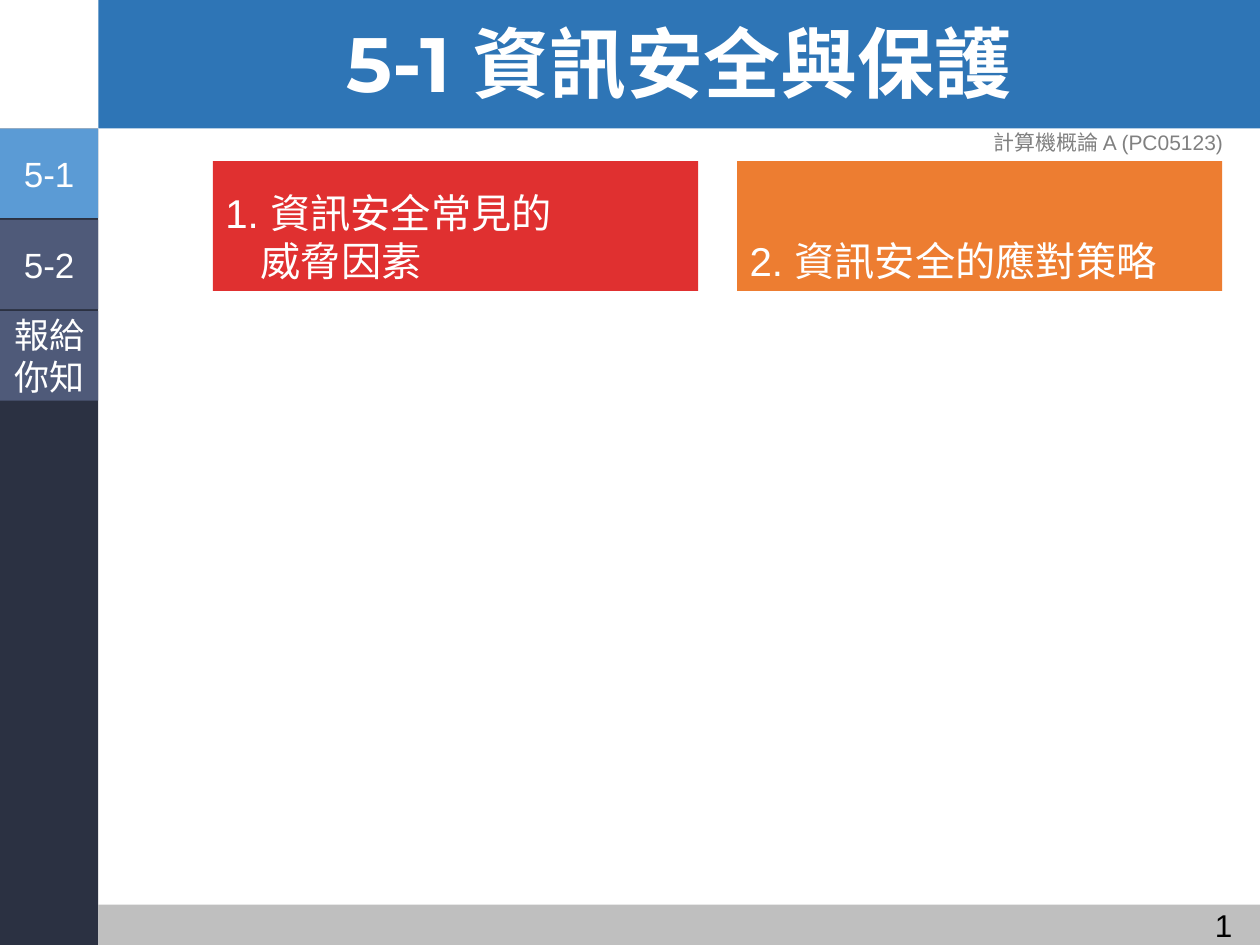
from dataclasses import dataclass

from lxml.etree import SubElement
from pptx import Presentation
from pptx.dml.color import RGBColor
from pptx.enum.shapes import MSO_SHAPE as Preset
from pptx.enum.text import MSO_ANCHOR as Anchor, MSO_AUTO_SIZE as AutoSize, PP_ALIGN as Align
from pptx.oxml.ns import qn
from pptx.util import Inches, Pt


@dataclass(frozen=True)
class Theme:
    header: str = "2E75B6"
    footer: str = "BFBFBF"
    sidebar: str = "2B3142"
    tab: str = "4F5A79"
    active_tab: str = "5B9BD5"
    red: str = "E03030"
    orange: str = "ED7D31"
    white: str = "FFFFFF"
    black: str = "000000"
    grey: str = "808080"
    title_font: str = "Montserrat"
    body_font: str = "Arial"
    title_size: int = 44
    topic_size: int = 23
    tab_size: int = 20
    number_size: int = 18
    course_size: int = 12


@dataclass(frozen=True)
class Area:
    left: float
    top: float
    width: float
    height: float

    def lengths(self) -> tuple:
        return tuple(Inches(n) for n in (self.left, self.top, self.width, self.height))


@dataclass(frozen=True)
class Label:
    text: str
    fill: str


THEME = Theme()
SIDEBAR_WIDTH, HEADER_HEIGHT = 0.78, 1.02
MAIN_WIDTH = 10 - SIDEBAR_WIDTH
BANDS = [
    (Area(SIDEBAR_WIDTH, 0, MAIN_WIDTH, HEADER_HEIGHT), THEME.header),
    (Area(SIDEBAR_WIDTH, 7.18, MAIN_WIDTH, 0.32), THEME.footer),
    (Area(0, HEADER_HEIGHT, SIDEBAR_WIDTH, 6.48), THEME.sidebar),
]
TABS = [
    Label("5-1", THEME.active_tab),
    Label("5-2", THEME.tab),
    Label("報給\n你知", THEME.tab),
]
TOPICS = [
    Label("1. 資訊安全常見的\v威脅因素", THEME.red),
    Label("2. 資訊安全的應對策略", THEME.orange),
]
TAB_HEIGHT, TAB_STEP = 0.71, 0.725
TOPIC_LEFT, TOPIC_STEP = 1.69, 4.16
TOPIC_INDENT = 0.28


def add_block(slide, area: Area, fill: str):
    block = slide.shapes.add_shape(Preset.RECTANGLE, *area.lengths())
    block.shadow.inherit = False
    block.fill.solid()
    block.fill.fore_color.rgb = RGBColor.from_string(fill)
    block.line.fill.background()
    return block


def style_font(font, size: int, color: str, name: str = THEME.body_font) -> None:
    font.name = name
    font.size = Pt(size)
    font.color.rgb = RGBColor.from_string(color)


def write(shape, text: str, size: int, color: str, align: Align, anchor: Anchor) -> None:
    frame = shape.text_frame
    frame.text = text
    frame.word_wrap = True
    frame.vertical_anchor = anchor
    for para in frame.paragraphs:
        para.alignment = align
        for span in para.runs:
            style_font(span.font, size, color)


def place_title(slide, text: str) -> None:
    """Put the title in front of the header band."""
    title = slide.shapes.title
    slide.shapes.element.append(title.element)
    title.left, title.top, title.width, title.height = Area(
        SIDEBAR_WIDTH, 0.03, MAIN_WIDTH, HEADER_HEIGHT).lengths()
    write(title, text, THEME.title_size, THEME.white, Align.CENTER, Anchor.MIDDLE)
    title.text_frame.auto_size = AutoSize.NONE
    para = title.text_frame.paragraphs[0]
    para.line_spacing = 0.9
    font = para.runs[0].font
    font.name = THEME.title_font
    font.bold = True


def add_slide_number(slide, area: Area) -> None:
    """Add a text box whose run is turned into a slide-number field."""
    box = slide.shapes.add_textbox(*area.lengths())
    write(box, "1", THEME.number_size, THEME.black, Align.RIGHT, Anchor.TOP)
    para = box.text_frame.paragraphs[0]
    run = para.runs[0]._r
    field = SubElement(para._p, qn("a:fld"), type="slidenum",
                       id="{B6F15528-21DE-4FAA-801E-634DDDAF4B2B}")
    field.extend(list(run))
    para._p.remove(run)


def add_tab(slide, index: int, label: Label) -> None:
    area = Area(0, HEADER_HEIGHT + index * TAB_STEP, SIDEBAR_WIDTH, TAB_HEIGHT)
    tab = add_block(slide, area, label.fill)
    write(tab, label.text, THEME.tab_size, THEME.white, Align.CENTER, Anchor.MIDDLE)
    frame = tab.text_frame
    frame.word_wrap = False
    frame.margin_left = frame.margin_right = Inches(0.04)
    frame.margin_top = frame.margin_bottom = Inches(0.04)


def add_topic(slide, index: int, label: Label) -> None:
    area = Area(TOPIC_LEFT + index * TOPIC_STEP, 1.28, 3.85, 1.03)
    topic = add_block(slide, area, label.fill)
    write(topic, label.text, THEME.topic_size, THEME.white, Align.LEFT, Anchor.BOTTOM)
    hanging = topic.text_frame.paragraphs[0]._p.get_or_add_pPr()
    hanging.set("marL", str(Inches(TOPIC_INDENT)))
    hanging.set("indent", str(-Inches(TOPIC_INDENT)))


def main() -> None:
    deck = Presentation()
    deck.slide_width, deck.slide_height = Inches(10), Inches(7.5)
    page = deck.slides.add_slide(deck.slide_layouts[5])
    for area, fill in BANDS:
        add_block(page, area, fill)
    place_title(page, "5-1 資訊安全與保護")
    add_slide_number(page, Area(8.82, 7.14, 1.06, 0.4))
    course = page.shapes.add_textbox(*Area(7.59, 0.93, 2.41, 0.4).lengths())
    write(course, "計算機概論 A (PC05123)", THEME.course_size, THEME.grey,
          Align.CENTER, Anchor.MIDDLE)
    for index, label in enumerate(TABS):
        add_tab(page, index, label)
    for index, label in enumerate(TOPICS):
        add_topic(page, index, label)
    deck.save("out.pptx")


if __name__ == "__main__":
    main()
